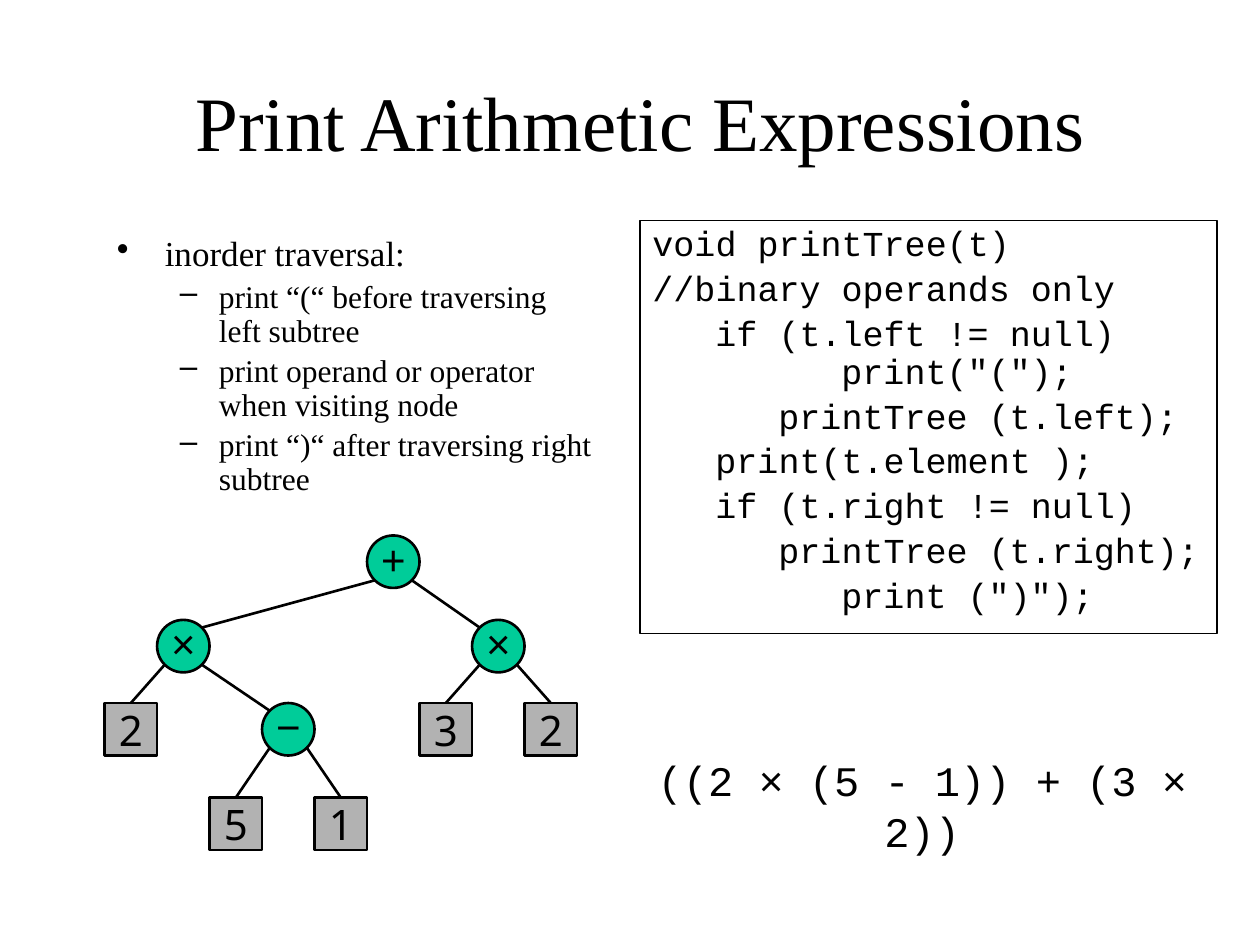
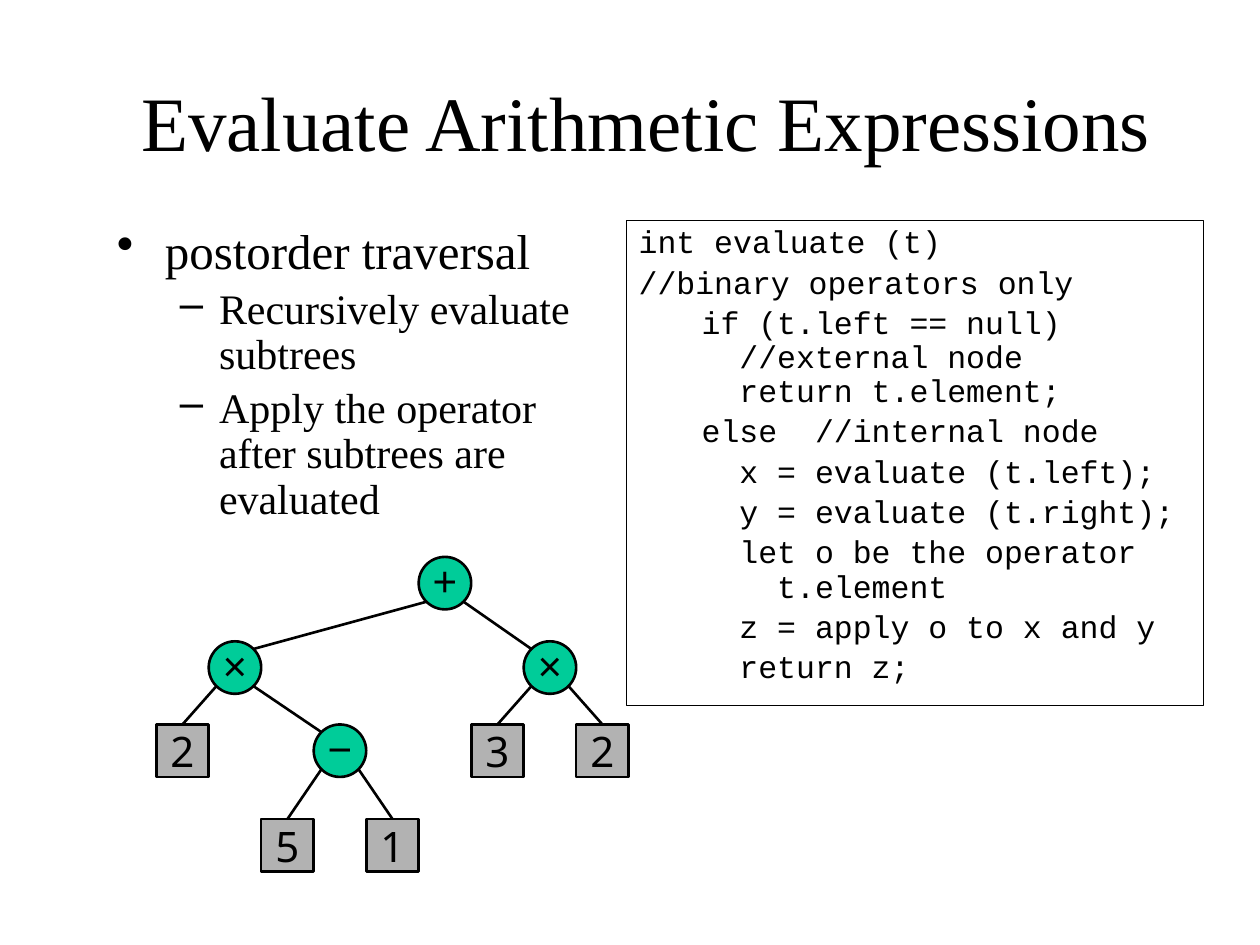
from pptx import Presentation
from pptx.dml.color import RGBColor
from pptx.enum.shapes import MSO_CONNECTOR, MSO_SHAPE
from pptx.enum.text import MSO_ANCHOR, PP_ALIGN
from pptx.util import Inches, Pt
from lxml import etree

BLACK = RGBColor(0x00, 0x00, 0x00)
GREEN = RGBColor(0x00, 0xCC, 0x99)
GREY = RGBColor(0xB2, 0xB2, 0xB2)
SERIF, MONO, SIGN, DIGIT = "Times New Roman", "Courier New", "Arial", "Noto Sans"
A = "http://schemas.openxmlformats.org/drawingml/2006/main"

# Expression tree: node -> (label, column, row); operator -> (left, right)
NODES = {
    "sum": ("+", 5, 0), "left product": ("×", 1, 1), "right product": ("×", 7, 1),
    "difference": ("−", 3, 2), "two": ("2", 0, 2), "five": ("5", 2, 3),
    "one": ("1", 4, 3), "three": ("3", 6, 2), "last two": ("2", 8, 2),
}
OPERANDS = {
    "sum": ("left product", "right product"),
    "left product": ("two", "difference"),
    "right product": ("three", "last two"),
    "difference": ("five", "one"),
}
NODE = 5 / 12                      # node size, also the column step
ROW_TOPS = [0, 0.67, 1.33, 2.08]
CORNER = NODE * 0.145              # inset of a circle's diagonal point

# Code lines are (text, left indent, first-line offset)
SLIDES = [
    {
        "title": "Print Arithmetic Expressions", "title_width": 8.83,
        "points_box": (0.83, 1.83, 4, 2.33), "point_sizes": (20, 18),
        "points": ["inorder traversal:",
                   "print “(“ before traversing left subtree",
                   "print operand or operator when visiting node",
                   "print “)“ after traversing right subtree"],
        "code_box": (5.08, 1.75, 4.58, 3.28), "code_size": 20,
        "code": [("void printTree(t)", 0, 0),
                 ("//binary operands only", 0, 0),
                 ("if (t.left != null)\nprint(\"(\");", 1.5, -1),
                 ("printTree (t.left);", 1, 0),
                 ("print(t.element );", 0.5, 0),
                 ("if (t.right != null)", 0.5, 0),
                 ("printTree (t.right);", 1, 0),
                 ("print (\")\");", 1.5, 0)],
        "tree": (0.83, 4.25),
        "result": "((2 × (5 - 1)) + (3 × 2))",
    },
    {
        "title": "Evaluate Arithmetic Expressions", "title_width": 8.92,
        "points_box": (0.83, 1.75, 4.08, 2.58), "point_sizes": (28, 24),
        "points": ["postorder traversal",
                   "Recursively evaluate subtrees",
                   "Apply the operator after subtrees are evaluated"],
        "code_box": (4.97, 1.75, 4.58, 3.85), "code_size": 18,
        "code": [("int evaluate (t)", 0, 0),
                 ("//binary operators only", 0, 0),
                 ("if (t.left == null)\n//external node\nreturn t.element;", 0.8, -0.3),
                 ("else  //internal node", 0.5, 0),
                 ("x = evaluate (t.left);", 0.8, 0),
                 ("y = evaluate (t.right);", 0.8, 0),
                 ("let o be the operator\nt.element", 1.1, -0.3),
                 ("z = apply o to x and y", 0.8, 0),
                 ("return z;", 0.8, 0)],
        "tree": (1.24, 4.42),
        "result": None,
    },
]


def write(paragraph, text, font, size, align=PP_ALIGN.LEFT):
    """Add the text run by run, with a line break between lines."""
    paragraph.alignment = align
    for number, line in enumerate(text.split("\n")):
        if number:
            paragraph.add_line_break()
        run = paragraph.add_run()
        run.text = line
        run.font.name = font
        run.font.size = Pt(size)
        run.font.color.rgb = BLACK


def write_list(frame, items, font):
    """Fill a frame with (text, size, left indent, first-line offset, bullet)."""
    frame.word_wrap = True
    for number, (text, size, left, first, bullet) in enumerate(items):
        paragraph = frame.add_paragraph() if number else frame.paragraphs[0]
        paragraph.line_spacing = 0.9
        paragraph.space_before = Pt(size * 0.2)
        write(paragraph, text, font, size)
        properties = paragraph._p.get_or_add_pPr()
        properties.set("marL", str(Inches(left)))
        properties.set("indent", str(Inches(first)))
        if bullet:
            etree.SubElement(properties, f"{{{A}}}buChar").set("char", bullet)


deck = Presentation()
deck.slide_width, deck.slide_height = Inches(10), Inches(7.5)

for content in SLIDES:
    slide = deck.slides.add_slide(deck.slide_layouts[6])

    # Title
    title = slide.shapes.add_textbox(Inches(0.67), Inches(0.33),
                                     Inches(content["title_width"]), Inches(1.25)).text_frame
    title.word_wrap = True
    title.vertical_anchor = MSO_ANCHOR.MIDDLE
    write(title.paragraphs[0], content["title"], SERIF, 44, PP_ALIGN.CENTER)

    # Bullet points: one heading, then its details
    points = slide.shapes.add_textbox(*[Inches(n) for n in content["points_box"]])
    heading_size, detail_size = content["point_sizes"]
    heading, *details = content["points"]
    write_list(points.text_frame,
               [(heading, heading_size, 0.38, -0.38, "•")]
               + [(detail, detail_size, 0.81, -0.31, "–") for detail in details], SERIF)

    # Framed code
    code = slide.shapes.add_textbox(*[Inches(n) for n in content["code_box"]])
    code.line.color.rgb = BLACK
    code.line.width = Pt(0.75)
    write_list(code.text_frame,
               [(text, content["code_size"], left, first, None)
                for text, left, first in content["code"]], MONO)

    # Tree nodes: circles for operators, squares for numbers
    tree = slide.shapes.add_group_shape().shapes
    tree_left, tree_top = content["tree"]
    places = {}
    for name, (label, column, row) in NODES.items():
        is_operator = name in OPERANDS
        x, y = tree_left + column * NODE, tree_top + ROW_TOPS[row]
        places[name] = x, y
        node = tree.add_shape(MSO_SHAPE.OVAL if is_operator else MSO_SHAPE.RECTANGLE,
                              Inches(x), Inches(y), Inches(NODE), Inches(NODE))
        node.shadow.inherit = False
        node.fill.solid()
        node.fill.fore_color.rgb = GREEN if is_operator else GREY
        node.line.color.rgb = BLACK
        node.line.width = Pt(1.5)
        frame = node.text_frame
        frame.word_wrap = False
        frame.vertical_anchor = MSO_ANCHOR.MIDDLE
        if is_operator:
            frame.margin_left = frame.margin_right = frame.margin_top = 0
            frame.margin_bottom = Inches(0.05)
        write(frame.paragraphs[0], label, SIGN if is_operator else DIGIT, 24, PP_ALIGN.CENTER)

    # Tree edges: from a circle's lower diagonal point to its operand
    for parent, operands in OPERANDS.items():
        x, y = places[parent]
        for side, operand in enumerate(operands):
            end_x, end_y = places[operand]
            if operand in OPERANDS:
                end_x += CORNER if side else NODE - CORNER
                end_y += CORNER
            else:
                end_x += NODE / 2
            start_x = x + (NODE - CORNER if side else CORNER)
            edge = tree.add_connector(MSO_CONNECTOR.STRAIGHT,
                                      Inches(start_x), Inches(y + NODE - CORNER),
                                      Inches(end_x), Inches(end_y))
            edge.line.color.rgb = BLACK
            edge.line.width = Pt(1.5)
            etree.SubElement(edge._element.spPr, f"{{{A}}}effectLst")

    # Printed expression
    if content["result"]:
        result = slide.shapes.add_textbox(Inches(4.74), Inches(5.94),
                                          Inches(5.16), Inches(0.5)).text_frame
        result.word_wrap = True
        write(result.paragraphs[0], content["result"], MONO, 24, PP_ALIGN.CENTER)

deck.save("out.pptx")
